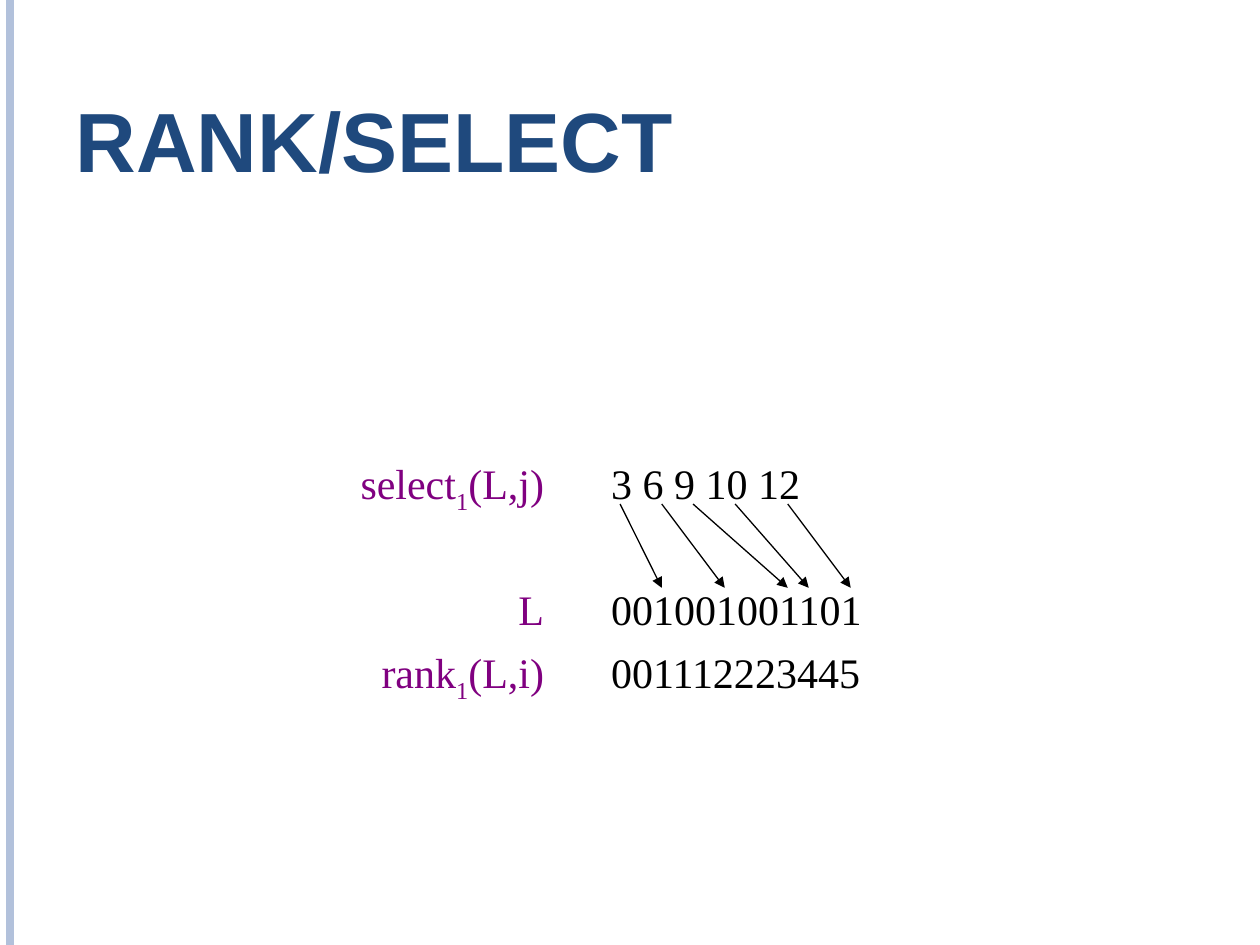
"""Build the rank/select slide."""
import pptx
import pptx.dml.color
import pptx.enum.shapes
import pptx.enum.text
import pptx.oxml
import pptx.oxml.ns
import pptx.util
from pptx.util import Cm

BLACK = pptx.dml.color.RGBColor(0x00, 0x00, 0x00)
NAVY = pptx.dml.color.RGBColor(0x1F, 0x49, 0x7D)
PURPLE = pptx.dml.color.RGBColor(0x80, 0x00, 0x80)
PALE = pptx.dml.color.RGBColor(0xB2, 0xC1, 0xDB)
LEFT = pptx.enum.text.PP_ALIGN.LEFT
RIGHT = pptx.enum.text.PP_ALIGN.RIGHT

EDGE = 11.22
START = 12.07
STEP = 1.27 / 3
ROWS = [
    (9.1, ["select", "1", "(L,j)"], 4.3, "3 6 9 10 12", 4.32),
    (11.64, ["L"], 1.05, "001001001101", 5.6),
    (12.91, ["rank", "1", "(L,i)"], 3.9, "001112223445", 5.6),
]
LINKS = [(12.5, 3), (13.34, 6), (13.97, 9), (14.82, 10), (15.88, 12)]


def add_run(para, text, font, size, color, bold=False):
    run = para.add_run()
    run.text = text
    run.font.name = font
    run.font.size = pptx.util.Pt(size)
    run.font.color.rgb = color
    run.font.bold = bold
    return run


def add_title(slide, text):
    title = slide.shapes.title
    title.left, title.top = Cm(1.27), Cm(0.76)
    title.width, title.height = Cm(20.75), Cm(3.18)
    frame = title.text_frame
    frame.auto_size = pptx.enum.text.MSO_AUTO_SIZE.NONE
    frame.vertical_anchor = pptx.enum.text.MSO_ANCHOR.BOTTOM
    para = frame.paragraphs[0]
    para.alignment = LEFT
    add_run(para, text, "Arial", 48, NAVY, True)


def add_text(slide, left, top, width, parts, color, align):
    high = 1.42 if len(parts) > 1 else 1.27
    box = slide.shapes.add_textbox(Cm(left), Cm(top), Cm(width), Cm(high))
    frame = box.text_frame
    frame.word_wrap = False
    frame.auto_size = pptx.enum.text.MSO_AUTO_SIZE.SHAPE_TO_FIT_TEXT
    para = frame.paragraphs[0]
    para.alignment = align
    for i, part in enumerate(parts):
        run = add_run(para, part, "Times New Roman", 24, color)
        if i == 1:
            run._r.get_or_add_rPr().set("baseline", "-25000")


def add_line(slide, start, end, color, width, arrow=False):
    line = slide.shapes.add_connector(
        pptx.enum.shapes.MSO_CONNECTOR.STRAIGHT, *map(Cm, start + end))
    line.line.color.rgb = color
    line.line.width = pptx.util.Pt(width)
    if arrow:
        head = pptx.oxml.parse_xml(
            f'<a:tailEnd {pptx.oxml.ns.nsdecls("a")} type="triangle"/>')
        line.line._get_or_add_ln().append(head)
    props = line._element.spPr
    props.append(pptx.oxml.parse_xml(
        f'<a:effectLst {pptx.oxml.ns.nsdecls("a")}/>'))


def main():
    deck = pptx.Presentation()
    deck.slide_width, deck.slide_height = Cm(25.4), Cm(19.05)
    slide = deck.slides.add_slide(deck.slide_layouts[5])
    add_line(slide, (0.21, 0), (0.21, 19.05), PALE, 4.5)
    add_title(slide, "RANK/SELECT")
    for top, label, wide, value, span in ROWS:
        add_text(slide, EDGE - wide, top, wide, label, PURPLE, RIGHT)
        add_text(slide, START, top, span, [value], BLACK, LEFT)
    for left, rank in LINKS:
        end = (START + STEP * rank, 11.85)
        add_line(slide, (left, 10.16), end, BLACK, 0.75, True)
    deck.save("out.pptx")


if __name__ == "__main__":
    main()
